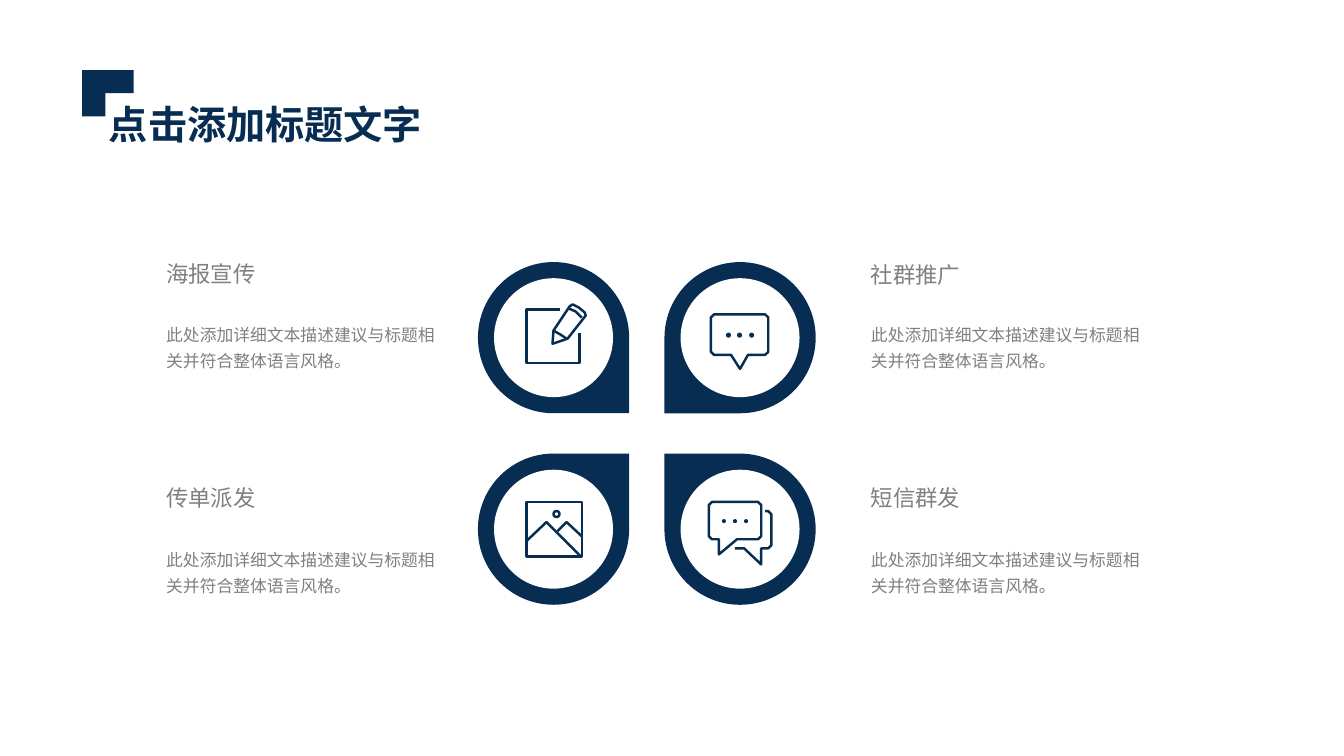
from pptx import Presentation
from pptx.dml.color import RGBColor
from pptx.enum.shapes import MSO_SHAPE
from pptx.enum.text import MSO_ANCHOR, PP_ALIGN
from pptx.oxml.ns import qn
from pptx.util import Pt
from lxml.etree import SubElement

PX = 9144  # EMU in one px, a hundredth of an inch


def color(hex_string):
    return RGBColor.from_string(hex_string)


class SlideBuilder:
    font_name = "Noto Sans CJK SC"
    navy, gray, white = "072D52", "808080", "FFFFFF"

    def __init__(self, slide):
        self.slide = slide
        self.shapes = slide.shapes

    def style_text(self, frame, text, size, hex_string, bold=False, spacing=1.0):
        frame.text = text
        frame.vertical_anchor = MSO_ANCHOR.TOP
        paragraph = frame.paragraphs[0]
        paragraph.alignment = PP_ALIGN.LEFT
        paragraph.line_spacing = spacing
        font = paragraph.font
        font.size, font.bold, font.name = Pt(size), bold, self.font_name
        font.color.rgb = color(hex_string)
        # East Asian typeface
        defaults = paragraph._p.pPr.find(qn("a:defRPr"))
        SubElement(defaults, qn("a:ea"), typeface=self.font_name)

    def title(self, text, left, top, width, height):
        title = self.shapes.title
        title.left, title.top = left * PX, top * PX
        title.width, title.height = width * PX, height * PX
        self.style_text(title.text_frame, text, 28, self.navy, bold=True)

    def text(self, text, left, top, width, height, size, wrap=True, spacing=1.0):
        box = self.shapes.add_textbox(left * PX, top * PX, width * PX, height * PX)
        box.text_frame.word_wrap = wrap
        self.style_text(box.text_frame, text, size, self.gray, spacing=spacing)

    def solid(self, kind, left, top, width, height, hex_string, rotation=0):
        shape = self.shapes.add_shape(
            kind, left * PX, top * PX, width * PX, height * PX)
        shape.rotation = rotation
        shape.shadow.inherit = False
        shape.fill.solid()
        shape.fill.fore_color.rgb = color(hex_string)
        shape.line.fill.background()
        return shape

    def outline(self, shape):
        shape.shadow.inherit = False
        shape.fill.background()
        shape.line.color.rgb = color(self.navy)
        shape.line.width = Pt(1.75)
        SubElement(shape.line._get_or_add_ln(), qn("a:round"))

    def stroke(self, *points, close=False):
        builder = self.shapes.build_freeform(*points[0], scale=PX)
        builder.add_line_segments(points[1:], close=close)
        self.outline(builder.convert_to_shape())

    def ring(self, left, top, size):
        self.outline(self.shapes.add_shape(
            MSO_SHAPE.OVAL, left * PX, top * PX, size * PX, size * PX))

    def bubble(self, left, top, right, bottom, tail, dots, dot_size):
        cut = 3  # corner cut
        self.stroke(
            (left + cut, top), (right - cut, top), (right, top + cut),
            (right, bottom - cut), (right - cut, bottom), *tail,
            (left + cut, bottom), (left, bottom - cut), (left, top + cut),
            close=True)
        for x, y in dots:
            self.solid(MSO_SHAPE.OVAL, x, y, dot_size, dot_size, self.navy)

    # Icons
    def poster_icon(self):
        self.stroke((555, 307), (522, 307), (522, 360), (575, 360), (575, 330))
        self.stroke((549, 328), (565, 304), (568, 302), (574, 305), (580, 310),
                    (581, 313), (563, 336), (548, 341), close=True)
        self.stroke((564, 306), (571, 309), (577, 315))
        self.stroke((549, 328), (556, 332), (562, 336))

    def community_icon(self):
        self.bubble(705, 312, 762, 352, [(742, 352), (734, 366), (725, 352)],
                    [(x, 330) for x in (720, 731, 743)], 5)

    def leaflet_icon(self):
        self.stroke((522, 498), (577, 498), (577, 552), (522, 552), close=True)
        self.stroke((522, 537), (542, 518), (576, 552))
        self.stroke((553, 527), (562, 518), (577, 532))
        self.ring(549, 507, 6)

    def message_icon(self):
        self.stroke((759, 507), (762, 507), (765, 510), (765, 541), (762, 544),
                    (755, 544), (755, 560), (738, 544), (729, 544))
        self.bubble(703, 498, 755, 535, [(731, 535), (713, 550), (713, 535)],
                    [(x, 515) for x in (716, 727, 738)], 4)

    def petal(self, left, top, rotation, draw_icon):
        size, rim = 150, 16
        self.solid(MSO_SHAPE.TEAR, left, top, size, size, self.navy, rotation)
        self.solid(MSO_SHAPE.OVAL, left + rim, top + rim,
                   size - 2 * rim, size - 2 * rim, self.white)
        draw_icon()


def main():
    deck = Presentation()
    deck.slide_width, deck.slide_height = 1333 * PX, 750 * PX
    page = SlideBuilder(deck.slides.add_slide(deck.slide_layouts[5]))

    # Title with its corner mark
    page.solid(MSO_SHAPE.CORNER, 84, 67, 46, 51, page.navy, rotation=90)
    page.title("点击添加标题文字", 98, 94, 349, 57)

    # Four channels: column, row, heading, heading top, petal rotation, icon
    channels = [
        (0, 0, "海报宣传", 253, 90, page.poster_icon),
        (1, 0, "社群推广", 254, 180, page.community_icon),
        (0, 1, "传单派发", 475, 0, page.leaflet_icon),
        (1, 1, "短信群发", 475, 270, page.message_icon),
    ]
    description = "此处添加详细文本描述建议与标题相关并符合整体语言风格。"
    for column, row, heading, heading_top, rotation, draw_icon in channels:
        page.petal(474 + 185 * column, 260 + 190 * row, rotation, draw_icon)
        text_left = 155 + 699 * column
        page.text(heading, text_left, heading_top, 110, 37, 16, wrap=False)
        page.text(description, text_left, 311 + 223 * row, 289, 60, 12, spacing=1.3)

    deck.save("out.pptx")


if __name__ == "__main__":
    main()
